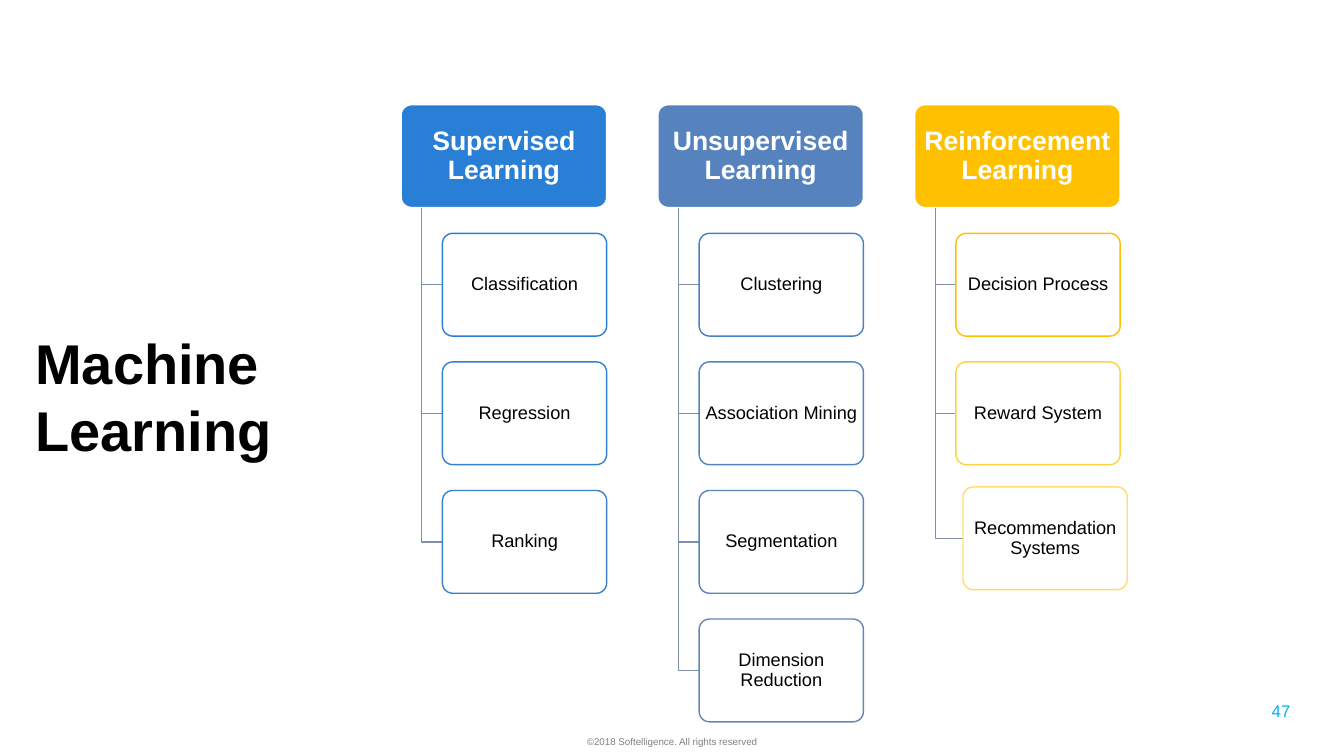
from dataclasses import dataclass

from lxml.etree import SubElement
from pptx import Presentation
from pptx.dml.color import RGBColor
from pptx.enum.shapes import MSO_SHAPE as Shape
from pptx.enum.text import MSO_ANCHOR as Anchor, MSO_AUTO_SIZE as AutoSize, PP_ALIGN as Align
from pptx.oxml.ns import qn
from pptx.util import Cm, Pt


@dataclass(frozen=True)
class Theme:
    font: str = "Arial"
    text: str = "000000"
    white: str = "FFFFFF"
    branch: str = "7F8FA9"
    page: str = "00B0F0"
    footer: str = "808080"
    title_size: int = 40
    head_size: int = 19
    item_size: int = 13
    page_size: int = 12
    footer_size: int = 7


@dataclass(frozen=True)
class Item:
    text: str
    line: str
    dx: float = 0
    dy: float = 0


@dataclass(frozen=True)
class Column:
    head: str
    fill: str
    items: tuple[Item, ...]


THEME = Theme()

# Tree layout in centimetres
LEFT, TOP = 10.11, 2.64
COLUMN_STEP, ROW_STEP = 6.47, 3.24
HEAD_W, ITEM_W, BOX_H = 5.18, 4.14, 2.59
INDENT = 0.52

COLUMNS = (
    Column("Supervised Learning", "297FD5", (
        Item("Classification", "297FD5"),
        Item("Regression", "337FD0"),
        Item("Ranking", "3D80CA"),
    )),
    Column("Unsupervised Learning", "5683BD", (
        Item("Clustering", "4781C5"),
        Item("Association Mining", "5183BF"),
        Item("Segmentation", "5B84BA"),
        Item("Dimension Reduction", "6487B6"),
    )),
    Column("Reinforcement Learning", "FFC000", (
        Item("Decision Process", "FFC000"),
        Item("Reward System", "FFD13F"),
        Item("Recommendation Systems", "FFDC6D", dx=0.18, dy=-0.09),
    )),
)


def rgb(color: str) -> RGBColor:
    return RGBColor.from_string(color)


def write(tf, text: str, *, size: int, color: str = THEME.text, bold: bool = False,
          align=Align.LEFT, anchor=Anchor.MIDDLE, spacing: float = 1.0,
          insets: tuple[float, float] = (0.25, 0.13)) -> None:
    """Fill a text frame; insets are (horizontal, vertical) in centimetres."""
    tf.word_wrap = True
    tf.auto_size = AutoSize.NONE
    tf.vertical_anchor = anchor
    tf.margin_left = tf.margin_right = Cm(insets[0])
    tf.margin_top = tf.margin_bottom = Cm(insets[1])
    p = tf.paragraphs[0]
    p.alignment = align
    p.line_spacing = spacing
    r = p.add_run()
    r.text = text
    r.font.name = THEME.font
    r.font.size = Pt(size)
    r.font.bold = bold
    r.font.color.rgb = rgb(color)


def add_box(s, x: float, y: float, width: float, fill: str, line: str):
    sp = s.shapes.add_shape(Shape.ROUNDED_RECTANGLE, Cm(x), Cm(y), Cm(width), Cm(BOX_H))
    sp.adjustments[0] = 0.1
    sp.shadow.inherit = False
    sp.fill.solid()
    sp.fill.fore_color.rgb = rgb(fill)
    sp.line.color.rgb = rgb(line)
    sp.line.width = Pt(1)
    return sp


def set_opacity(sp, percent: int) -> None:
    color = sp._element.spPr.find(qn("a:solidFill")).find(qn("a:srgbClr"))
    SubElement(color, qn("a:alpha")).set("val", str(percent * 1000))


def add_branch(s, x: float, y: float, end_x: float, end_y: float) -> None:
    """Draw a line down from a heading and then right to an item."""
    builder = s.shapes.build_freeform(Cm(x), Cm(y))
    builder.add_line_segments([(Cm(x), Cm(end_y)), (Cm(end_x), Cm(end_y))], close=False)
    sp = builder.convert_to_shape()
    sp.shadow.inherit = False
    sp.fill.background()
    sp.line.color.rgb = rgb(THEME.branch)
    sp.line.width = Pt(1)


def add_column(s, column: Column, x: float) -> None:
    head = add_box(s, x, TOP, HEAD_W, column.fill, THEME.white)
    write(head.text_frame, column.head, size=THEME.head_size, color=THEME.white, bold=True,
          align=Align.CENTER, spacing=0.9, insets=(0.1, 0.07))
    for row, item in enumerate(column.items, start=1):
        item_x = x + 2 * INDENT + item.dx
        item_y = TOP + row * ROW_STEP + item.dy
        add_branch(s, x + INDENT, TOP + BOX_H, item_x, item_y + BOX_H / 2)
        box = add_box(s, item_x, item_y, ITEM_W, THEME.white, item.line)
        set_opacity(box, 90)
        write(box.text_frame, item.text, size=THEME.item_size, align=Align.CENTER,
              spacing=0.9, insets=(0.08, 0.05))


def main() -> None:
    prs = Presentation()
    prs.slide_width, prs.slide_height = Cm(33.87), Cm(19.05)
    s = prs.slides.add_slide(prs.slide_layouts.get_by_name("Title Only"))

    title = s.shapes.title
    title.left, title.top, title.width, title.height = Cm(0.64), Cm(TOP), Cm(8.66), Cm(14.66)
    write(title.text_frame, "Machine Learning", size=THEME.title_size, bold=True)

    for index, column in enumerate(COLUMNS):
        add_column(s, column, LEFT + index * COLUMN_STEP)

    page = s.shapes.add_textbox(Cm(25.15), Cm(17.4), Cm(7.62), Cm(1.02))
    write(page.text_frame, "47", size=THEME.page_size, color=THEME.page, align=Align.RIGHT)

    footer = s.shapes.add_textbox(0, Cm(18.42), prs.slide_width, Cm(0.63))
    write(footer.text_frame, "©2018 Softelligence. All rights reserved", size=THEME.footer_size,
          color=THEME.footer, align=Align.CENTER, anchor=Anchor.TOP)

    prs.save("out.pptx")


if __name__ == "__main__":
    main()
